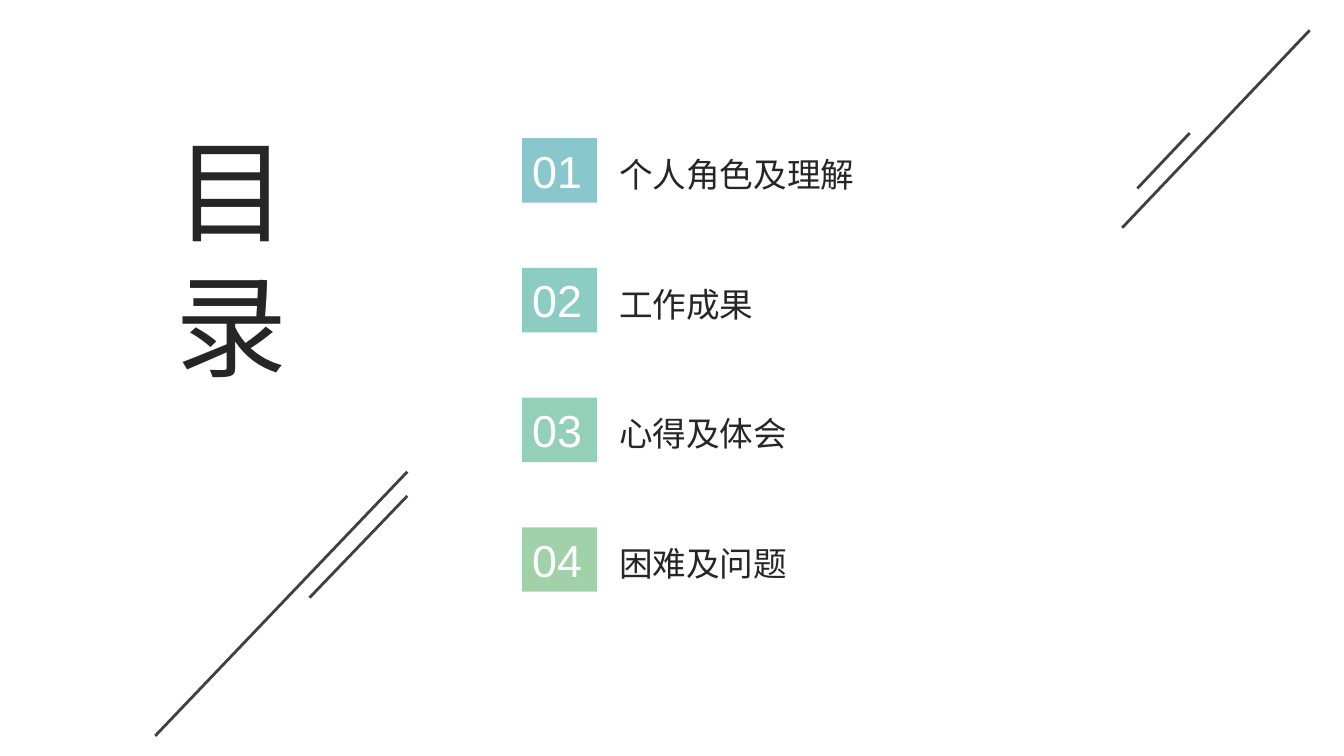
import pptx
import pptx.util
import pptx.dml.color
import pptx.enum.text
import pptx.enum.shapes
import lxml.etree

TITLE = ["目", "录"]
ITEMS = [
    ("01", "个人角色及理解", "8AC7CD"),
    ("02", "工作成果", "8DCCC3"),
    ("03", "心得及体会", "94CFB8"),
    ("04", "困难及问题", "A0D1A9"),
]
LINES = [
    (11.13, 2.26, 12.99, 0.3),
    (11.28, 1.87, 11.8, 1.32),
    (1.54, 7.3, 4.04, 4.68),
    (3.07, 5.93, 4.04, 4.92),
]
DARK, WHITE, GREY = "262626", "FFFFFF", "404040"
TOP, STEP = 1.37, 1.287
ROW = 35
GAP = STEP * 72 - ROW

Inch, Pt = pptx.util.Inches, pptx.util.Pt
Enum = pptx.enum.text
NS = "{http://schemas.openxmlformats.org/drawingml/2006/main}"


def color(code):
    return pptx.dml.color.RGBColor.from_string(code)


def apply(part, form):
    for key, val in form.items():
        setattr(part, key, val)


def place(shape, left, top, wide, high):
    names = ("left", "top", "width", "height")
    apply(shape, dict(zip(names, map(Inch, (left, top, wide, high)))))


def write(shape, rows, size, code, anchor, form):
    frame = shape.text_frame
    frame.text = "\n".join(rows)
    apply(frame, {"word_wrap": True, "auto_size": Enum.MSO_AUTO_SIZE.NONE,
                  "vertical_anchor": anchor})
    for para in frame.paragraphs:
        apply(para, {"alignment": Enum.PP_ALIGN.JUSTIFY, "space_before": Pt(0), **form})
        apply(para.font, {"name": "Arial", "size": Pt(size)})
        para.font.color.rgb = color(code)
        for run in para.runs:
            apply(run.font, {"name": "Arial", "size": Pt(size)})
            run.font.color.rgb = color(code)


deck = pptx.Presentation()
apply(deck, {"slide_width": Inch(13.33), "slide_height": Inch(7.5)})
slide = deck.slides.add_slide(deck.slide_layouts[1])
title, body = slide.placeholders

for x1, y1, x2, y2 in LINES:
    line = slide.shapes.add_connector(
        pptx.enum.shapes.MSO_CONNECTOR.STRAIGHT, *map(Inch, (x1, y1, x2, y2)))
    line.line.color.rgb = color(GREY)
    line.line.width = Pt(0)
    lxml.etree.SubElement(line._element.spPr, NS + "effectLst")

for row, (num, label, fill) in enumerate(ITEMS):
    box = slide.shapes.add_shape(
        pptx.enum.shapes.MSO_SHAPE.RECTANGLE,
        *map(Inch, (5.18, TOP + row * STEP, 0.74, 0.64)))
    box.shadow.inherit = False
    box.fill.solid()
    box.fill.fore_color.rgb = color(fill)
    box.line.fill.background()
    write(box, [num], 32, WHITE, Enum.MSO_ANCHOR.MIDDLE, {})

place(title, 1.64, 1.16, 2.03, 2.79)
write(title, TITLE, 80, DARK, Enum.MSO_ANCHOR.TOP, {})

place(body, 6.04, TOP + 0.02, 3.35, 3 * STEP + 0.57)
write(body, [label for num, label, fill in ITEMS], 24, DARK,
      Enum.MSO_ANCHOR.TOP, {"line_spacing": Pt(ROW), "space_after": Pt(GAP)})
for para in body.text_frame.paragraphs:
    props = para._p.get_or_add_pPr()
    props.set("marL", "0")
    props.set("indent", "0")
    lxml.etree.SubElement(props, NS + "buNone")
    for node in props.findall(NS + "defRPr"):
        props.append(node)

deck.save("out.pptx")
